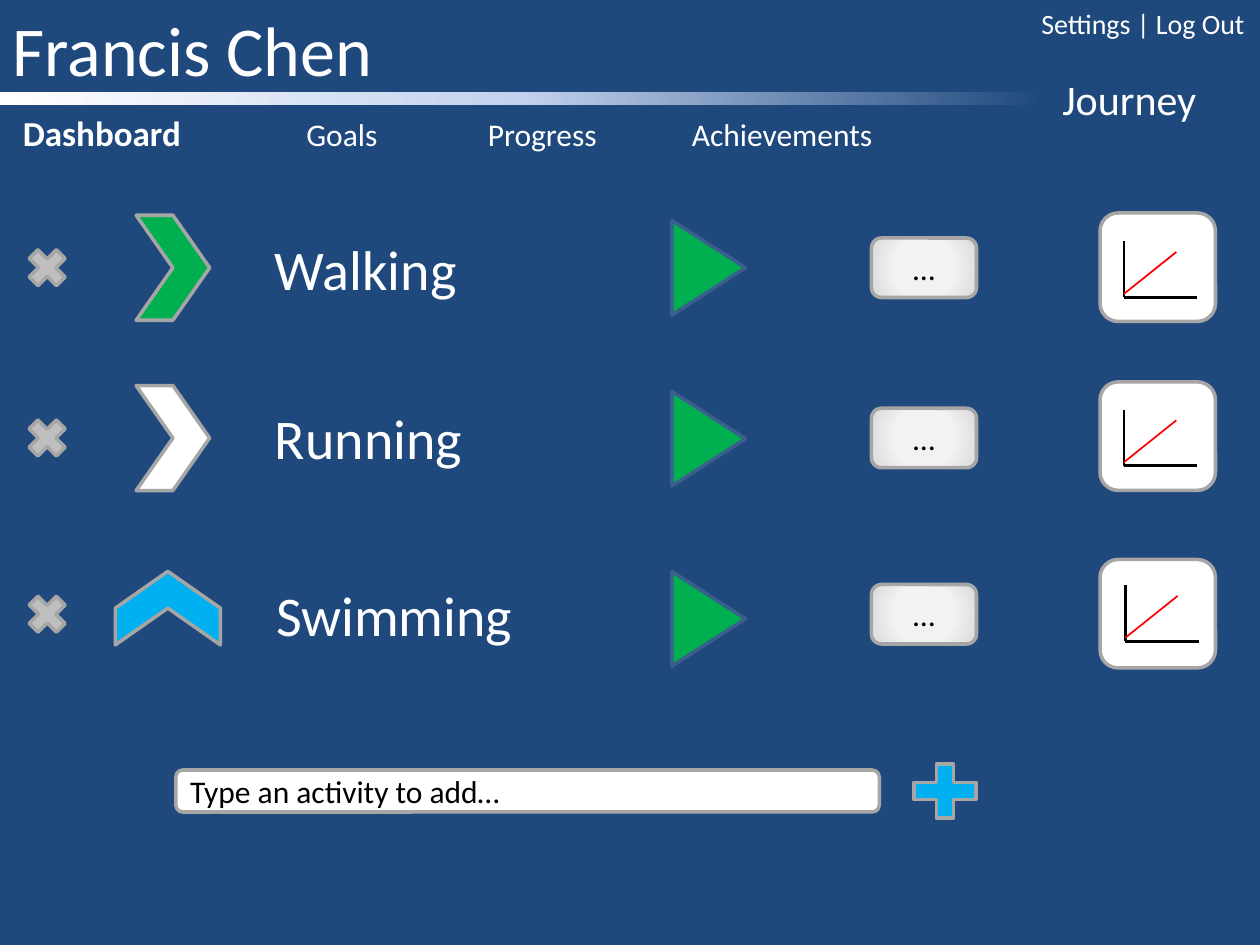
from lxml import etree
from pptx import Presentation
from pptx.dml.color import RGBColor
from pptx.enum.shapes import MSO_CONNECTOR, MSO_SHAPE as SHAPE
from pptx.enum.text import MSO_ANCHOR as ANCHOR, MSO_AUTO_SIZE as AUTO, PP_ALIGN as ALIGN
from pptx.oxml import parse_xml
from pptx.oxml.ns import nsdecls, qn
from pptx.util import Pt

NAVY = RGBColor(0x1F, 0x49, 0x7D)
WHITE = RGBColor(0xFF, 0xFF, 0xFF)
BLACK = RGBColor(0, 0, 0)
RED = RGBColor(0xFF, 0, 0)
GREEN = RGBColor(0, 0xB0, 0x50)
SKY = RGBColor(0, 0xB0, 0xF0)
SILVER = RGBColor(0xBF, 0xBF, 0xBF)
GREY = RGBColor(0xA6, 0xA6, 0xA6)
STEEL = RGBColor(0x3A, 0x5F, 0x8C)
PALE_BLUE = RGBColor(0xC2, 0xD1, 0xED)
PALE_GREY = RGBColor(0xF2, 0xF2, 0xF2)
LIGHT_GREY = RGBColor(0xD9, 0xD9, 0xD9)

prs = Presentation()
prs.slide_width, prs.slide_height = Pt(720), Pt(540)
slide = prs.slides.add_slide(prs.slide_layouts[5])
slide.background.fill.solid()
slide.background.fill.fore_color.rgb = NAVY


def add_part(kind, box, fill, line=GREY, rotation=0):
    """Add a shape; a list of three colours as fill makes a gradient."""
    part = slide.shapes.add_shape(kind, *map(Pt, box))
    part.shadow.inherit = False
    part.rotation = rotation
    part.fill.solid()
    if isinstance(fill, list):
        stops = "".join(f'<a:gs pos="{pos}"><a:srgbClr val="{colour}"/></a:gs>'
                        for pos, colour in zip((0, 50000, 100000), fill))
        direction = ('<a:lin ang="0" scaled="0"/>' if kind == SHAPE.RECTANGLE else
                     '<a:path path="circle"><a:fillToRect l="50000" t="50000" '
                     'r="50000" b="50000"/></a:path>')
        solid = part.element.spPr.find(qn("a:solidFill"))
        part.element.spPr.replace(solid, parse_xml(
            f'<a:gradFill {nsdecls("a")} rotWithShape="1"><a:gsLst>{stops}</a:gsLst>'
            f'{direction}</a:gradFill>'))
    else:
        part.fill.fore_color.rgb = fill
    if line is None:
        part.line.fill.background()
    else:
        part.line.color.rgb = line
        part.line.width = Pt(2)
    return part


def write(part, runs, colour=WHITE, align=ALIGN.LEFT, anchor=ANCHOR.TOP):
    """Fill a part with one paragraph of (text, size, bold) runs."""
    frame = part.text_frame
    frame.word_wrap = True
    frame.auto_size = AUTO.SHAPE_TO_FIT_TEXT if anchor == ANCHOR.TOP else AUTO.NONE
    frame.vertical_anchor = anchor
    paragraph = frame.paragraphs[0]
    paragraph.alignment = align
    for text, size, bold in runs:
        run = paragraph.add_run()
        run.text = text
        run.font.color.rgb = colour
        for key, value in {"name": "Calibri", "size": Pt(size), "bold": bold}.items():
            setattr(run.font, key, value)
    return paragraph


# Header
user_name = slide.shapes.title
user_name.left, user_name.top, user_name.width, user_name.height = map(Pt, (0, 0, 384, 55.7))
write(user_name, [("Francis Chen", 40, False)])
add_part(SHAPE.RECTANGLE, (0, 52.5, 595.5, 7.5), [WHITE, PALE_BLUE, NAVY], None)

# Header texts, navigation and activity names
TEXTS = [
    ((600, 38.2, 124.5, 36), [("Journey", 24, False)]),
    ((588, 0, 132, 26.6), [("Settings | Log Out", 16, False)]),
    ((6, 60, 546, 31.5), [("Dashboard", 20, True),
                          ("\tGoals\tProgress\tAchievements", 18, False)]),
    ((150, 130.3, 120, 46), [("Walking", 32, False)]),
    ((150, 226.8, 138, 46), [("Running", 32, False)]),
    ((150.7, 328.3, 179, 46), [("Swimming", 32, False)]),
]
for box, runs in TEXTS:
    paragraph = write(slide.shapes.add_textbox(*map(Pt, box)), runs)
    if "\t" in runs[-1][0]:
        tab_list = etree.SubElement(paragraph._p.get_or_add_pPr(), qn("a:tabLst"))
        for stop in (162, 265.7, 382.3):
            etree.SubElement(tab_list, qn("a:tab"), pos=str(Pt(stop)), algn="l")

# Activity rows: middle, chevron (left, top, turn, colour), play top, card top, axis corner
ROWS = [
    (153, (77.8, 123, 0, GREEN), 132, 121.7, (642.2, 170)),
    (250.3, (77.8, 220.3, 0, WHITE), 229.7, 218.2, (642.2, 266.2)),
    (351, (74.9, 317.5, 270, SKY), 332.6, 319.7, (643, 366.5)),
]
for middle, (left, top, turn, colour), play_top, card_top, (x, y) in ROWS:
    add_part(SHAPE.CHEVRON, (left, top, 42, 60), colour, rotation=turn)
    add_part(SHAPE.MATH_MULTIPLY, (12, middle - 15, 30, 30), SILVER)
    add_part(SHAPE.FLOWCHART_EXTRACT, (378, play_top, 54, 42), GREEN, STEEL, 90)
    more = add_part(SHAPE.FLOWCHART_ALTERNATE_PROCESS, (498, middle - 17, 60, 34),
                    [PALE_GREY, PALE_GREY, LIGHT_GREY])
    write(more, [("…", 18, False)], BLACK, ALIGN.CENTER, ANCHOR.MIDDLE)

    # Journey card with its small line graph
    add_part(SHAPE.FLOWCHART_ALTERNATE_PROCESS, (628.6, card_top, 66, 62), WHITE)
    for ends, colour, width in [
        ((x, y - 32, x, y), BLACK, 1.5),
        ((x, y, x + 42, y), BLACK, 1.5),
        ((x, y - 2, x + 30, y - 26), RED, 1),
    ]:
        stroke = slide.shapes.add_connector(MSO_CONNECTOR.STRAIGHT, *map(Pt, ends))
        stroke.line.color.rgb = colour
        stroke.line.width = Pt(width)
        etree.SubElement(stroke.element.spPr, qn("a:effectLst"))

# Entry field and add button
entry = add_part(SHAPE.ROUNDED_RECTANGLE, (100.5, 440, 402, 24), WHITE)
write(entry, [("Type an activity to add…", 18, False)], BLACK, anchor=ANCHOR.MIDDLE)
add_part(SHAPE.MATH_PLUS, (516, 431, 48, 42), SKY)

prs.save("out.pptx")
